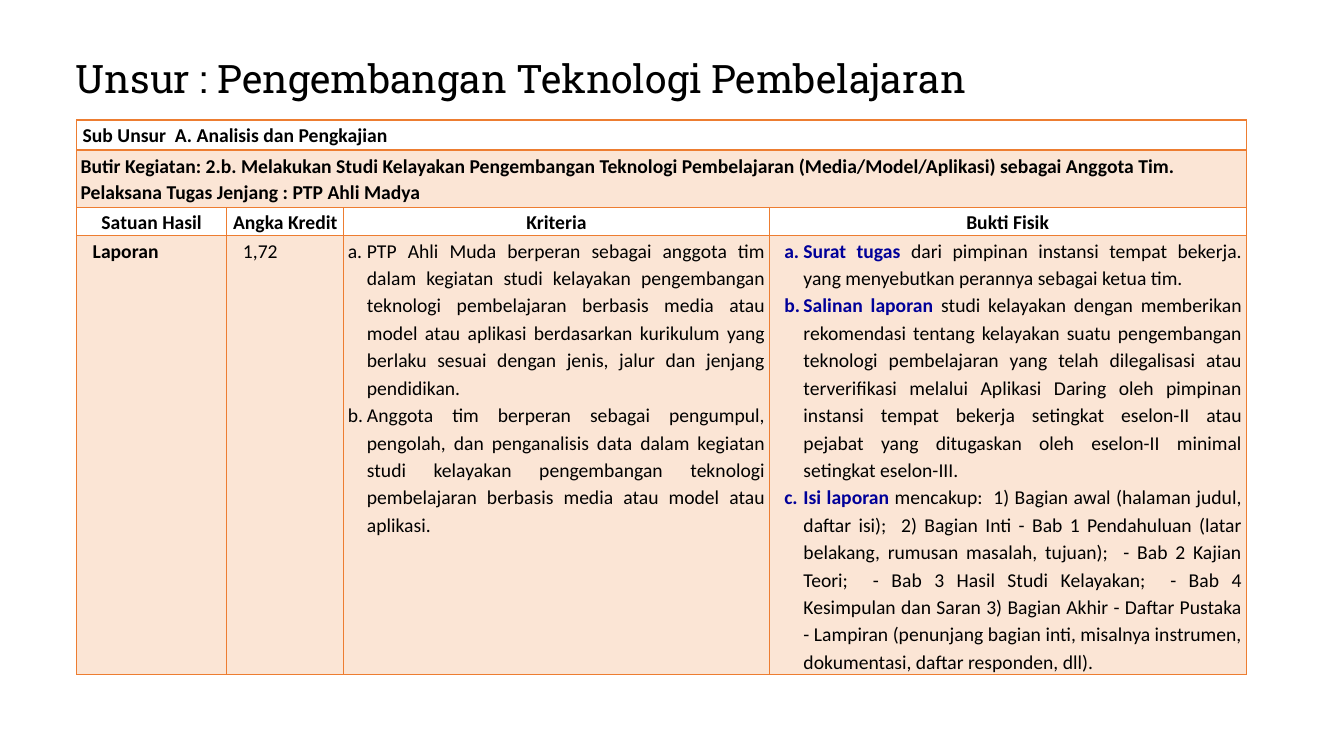
import pptx
import pptx.dml.color
import pptx.enum.text
import pptx.oxml.ns
import pptx.util
from lxml import etree

Inches, Pt = pptx.util.Inches, pptx.util.Pt
RGBColor = pptx.dml.color.RGBColor
Align, Anchor = pptx.enum.text.PP_ALIGN, pptx.enum.text.MSO_ANCHOR
qn = pptx.oxml.ns.qn

BLACK = RGBColor(0x00, 0x00, 0x00)
NAVY = RGBColor(0x00, 0x00, 0x99)
ORANGE = RGBColor(0xED, 0x7D, 0x31)
TINT_PERCENT = 20

TITLE = "Unsur : Pengembangan Teknologi Pembelajaran"
SUB_ELEMENT = "Sub Unsur  A. Analisis dan Pengkajian"
ACTIVITY = [
    "Butir Kegiatan: 2.b. Melakukan Studi Kelayakan Pengembangan Teknologi Pembelajaran "
    "(Media/Model/Aplikasi) sebagai Anggota Tim.",
    "Pelaksana Tugas Jenjang : PTP Ahli Madya",
]
HEADINGS = ["Satuan Hasil", "Angka Kredit", "Kriteria", "Bukti Fisik"]
RESULT, CREDIT = "Laporan", "1,72"
CRITERIA = [
    "PTP Ahli Muda berperan sebagai anggota tim dalam kegiatan studi kelayakan pengembangan "
    "teknologi pembelajaran berbasis media atau model atau aplikasi berdasarkan kurikulum yang "
    "berlaku sesuai dengan jenis, jalur dan jenjang pendidikan. ",
    "Anggota tim berperan sebagai pengumpul, pengolah, dan penganalisis data dalam kegiatan "
    "studi kelayakan pengembangan teknologi pembelajaran berbasis media atau model atau aplikasi.",
]
EVIDENCE = [
    ("Surat tugas ",
     "dari pimpinan instansi tempat bekerja. yang menyebutkan perannya sebagai ketua tim. "),
    ("Salinan laporan ",
     "studi kelayakan dengan memberikan rekomendasi tentang kelayakan suatu pengembangan "
     "teknologi pembelajaran yang telah dilegalisasi atau terverifikasi melalui Aplikasi Daring "
     "oleh pimpinan instansi tempat bekerja setingkat eselon-II atau pejabat yang ditugaskan "
     "oleh eselon-II minimal setingkat eselon-III. "),
    ("Isi laporan ",
     "mencakup:  1) Bagian awal (halaman judul, daftar isi);  2) Bagian Inti - Bab 1 Pendahuluan "
     "(latar belakang, rumusan masalah, tujuan);  - Bab 2 Kajian Teori;  - Bab 3 Hasil Studi "
     "Kelayakan;  - Bab 4 Kesimpulan dan Saran 3) Bagian Akhir - Daftar Pustaka - Lampiran "
     "(penunjang bagian inti, misalnya instrumen, dokumentasi, daftar responden, dll). "),
]

COLUMN_WIDTHS = [1.49, 1.16, 4.22, 4.73]
ROW_HEIGHTS = [0.3, 0.57, 0.28, 4.35]
TINTED_ROWS = (1, 3)
HEAVY_EDGES = {(0, "lnB"), (1, "lnT")}


def style_span(span, size, font, color=BLACK, bold=False):
    """Set the font of one run."""
    span.font.size, span.font.name, span.font.bold = Pt(size), font, bold
    span.font.color.rgb = color


def style_cell(cell, row):
    """Set the margins, borders and fill of one cell."""
    cell.margin_left = cell.margin_right = Inches(0.04)
    cell.margin_top = cell.margin_bottom = 0
    if row in TINTED_ROWS:
        cell.fill.solid()
        cell.fill.fore_color.rgb = ORANGE
        color = cell._tc.tcPr.find(".//" + qn("a:srgbClr"))
        etree.SubElement(color, qn("a:alpha"), val=str(TINT_PERCENT * 1000))
    else:
        cell.fill.background()
    for order, edge in enumerate(("lnL", "lnR", "lnT", "lnB")):
        points = 2 if (row, edge) in HEAVY_EDGES else 1
        line = etree.Element(qn("a:" + edge), w=str(Pt(points)))
        paint = etree.SubElement(line, qn("a:solidFill"))
        etree.SubElement(paint, qn("a:srgbClr"), val=str(ORANGE))
        cell._tc.tcPr.insert(order, line)


def write_cell(cell, paragraphs, spacing=1.15, align=Align.LEFT, bold=False,
               indent=0, hanging=0, anchor=Anchor.TOP):
    """Write paragraphs given as strings or as pairs of highlight and plain text."""
    cell.vertical_anchor = anchor
    frame = cell.text_frame
    for index, content in enumerate(paragraphs):
        para = frame.add_paragraph() if index else frame.paragraphs[0]
        para.alignment, para.line_spacing = align, spacing
        properties = para._p.get_or_add_pPr()
        properties.set("marL", str(Inches(indent)))
        properties.set("indent", str(-Inches(hanging)))
        if hanging:
            etree.SubElement(properties, qn("a:buFont"), typeface="+mj-lt")
            etree.SubElement(properties, qn("a:buAutoNum"), type="alphaLcPeriod")
        if isinstance(content, str):
            para.text = content
            style_span(para.runs[0], 14, "Calibri", bold=bold)
        else:
            for text, color, strong in zip(content, (NAVY, BLACK), (True, False)):
                span = para.add_run()
                span.text = text
                style_span(span, 14, "Calibri", color, strong)


deck = pptx.Presentation()
deck.slide_width, deck.slide_height = Inches(13.33), Inches(7.5)
page = deck.slides.add_slide(deck.slide_layouts[5])

title = page.shapes.title
title.left, title.top, title.width, title.height = map(Inches, (0.65, 0.5, 11.5, 0.6))
title.text_frame.text = TITLE
title.text_frame.vertical_anchor = Anchor.MIDDLE
heading = title.text_frame.paragraphs[0]
heading.alignment, heading.line_spacing = Align.LEFT, 0.9
style_span(heading.runs[0], 28, "Roboto Slab")

table = page.shapes.add_table(
    len(ROW_HEIGHTS), len(COLUMN_WIDTHS), Inches(0.76), Inches(1.19),
    Inches(sum(COLUMN_WIDTHS)), Inches(sum(ROW_HEIGHTS))).table
table.first_row = table.horz_banding = False
for column, width in zip(table.columns, COLUMN_WIDTHS):
    column.width = Inches(width)
for row, height in enumerate(ROW_HEIGHTS):
    table.rows[row].height = Inches(height)
    for cell in table.rows[row].cells:
        style_cell(cell, row)
for row in (0, 1):
    table.cell(row, 0).merge(table.cell(row, len(COLUMN_WIDTHS) - 1))

write_cell(table.cell(0, 0), [SUB_ELEMENT], bold=True, indent=0.02)
write_cell(table.cell(1, 0), ACTIVITY, spacing=1.07, bold=True, anchor=Anchor.MIDDLE)
for column, name in enumerate(HEADINGS):
    write_cell(table.cell(2, column), [name], spacing=1.07, align=Align.CENTER,
               bold=True, anchor=Anchor.MIDDLE)
write_cell(table.cell(3, 0), [RESULT], bold=True, indent=0.12)
write_cell(table.cell(3, 1), [CREDIT], indent=0.12)
write_cell(table.cell(3, 2), CRITERIA, align=Align.JUSTIFY, indent=0.19, hanging=0.19)
write_cell(table.cell(3, 3), EVIDENCE, align=Align.JUSTIFY, indent=0.3, hanging=0.19)

deck.save("out.pptx")
